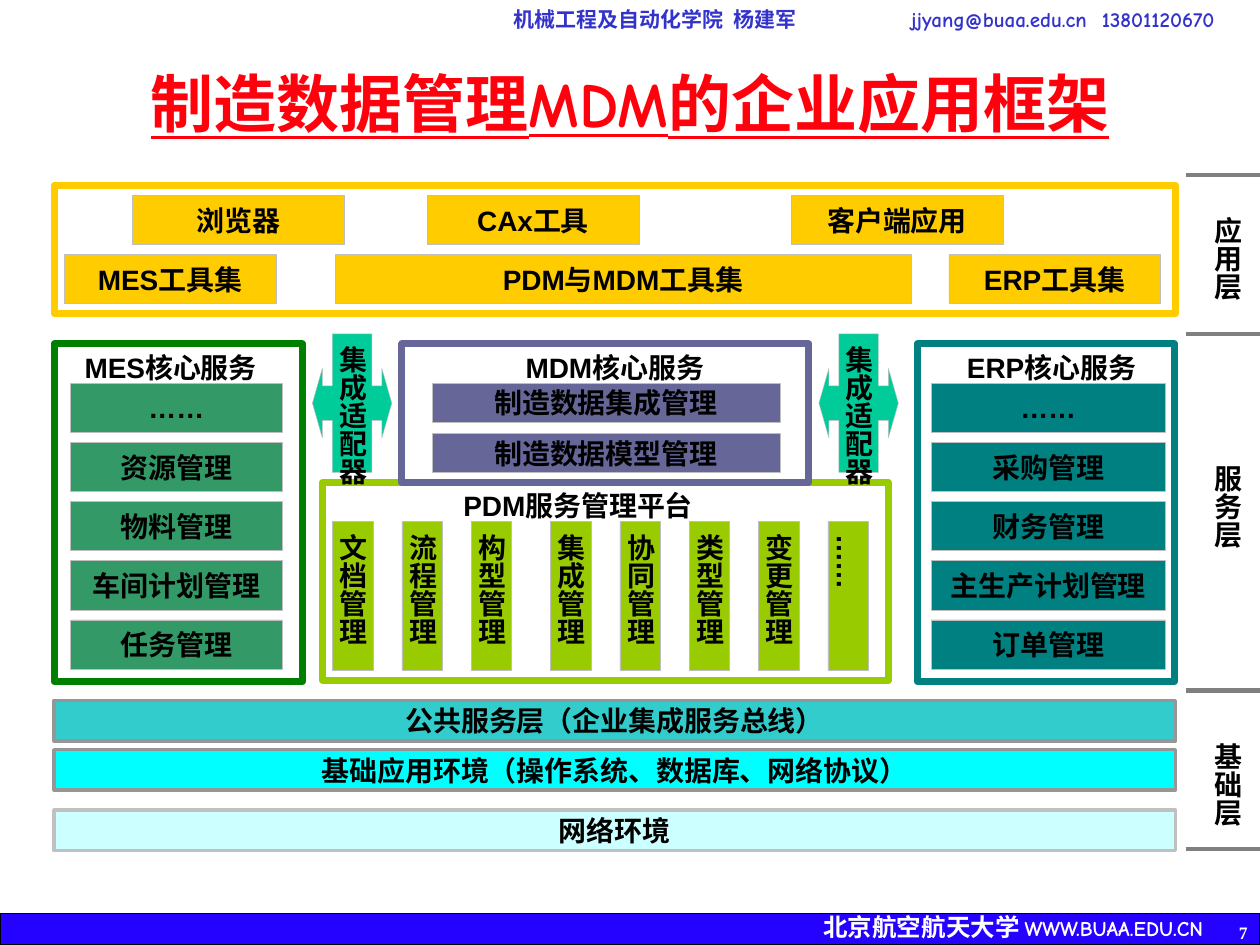
from collections import namedtuple
from dataclasses import dataclass

from lxml import etree
from pptx import Presentation
from pptx.dml.color import RGBColor
from pptx.enum.shapes import MSO_CONNECTOR, MSO_SHAPE
from pptx.enum.text import MSO_ANCHOR, MSO_AUTO_SIZE, PP_ALIGN
from pptx.oxml.ns import qn
from pptx.util import Inches, Pt

RECT, CALLOUT = MSO_SHAPE.RECTANGLE, MSO_SHAPE.LEFT_RIGHT_ARROW_CALLOUT
STRAIGHT = MSO_CONNECTOR.STRAIGHT
LEFT, CENTER, RIGHT = PP_ALIGN.LEFT, PP_ALIGN.CENTER, PP_ALIGN.RIGHT
TOP, MIDDLE = MSO_ANCHOR.TOP, MSO_ANCHOR.MIDDLE
NO_FIT = MSO_AUTO_SIZE.NONE
TITLE_ONLY = 5

Box = namedtuple("Box", "left top width height")


@dataclass(frozen=True)
class Theme:
    cjk: str = "Noto Sans CJK JP"
    latin: str = "Arial"
    comic: str = "Comic Neue"
    serif: str = "Times New Roman"
    black: str = "000000"
    white: str = "FFFFFF"
    title: str = "FF010D"
    header: str = "3333CC"
    footer: str = "2501FF"
    app: str = "FFCC00"
    mes_frame: str = "008000"
    mes: str = "339966"
    erp: str = "008080"
    pdm: str = "99CC00"
    mdm: str = "666699"
    adapter: str = "00CC99"
    bus: str = "33CCCC"
    platform: str = "00FFFF"
    network: str = "CCFFFF"
    thin_line: str = "BFBFBF"
    bar_line: str = "969696"
    network_line: str = "C0C0C0"
    divider: str = "808080"
    title_size: int = 36
    body_size: int = 16
    footer_size: int = 14
    header_size: int = 12
    number_size: int = 10


T = Theme()


def emu(box):
    return [Inches(v) for v in box]


def inside(box, dx, dy, width, height):
    """Box placed by its offset from the corner of another box."""
    return Box(box.left + dx, box.top + dy, width, height)


def write(shape, runs, align=CENTER, anchor=MIDDLE, wrap=True, vertical=False):
    """Fill one paragraph with (text, font, size, colour) runs."""
    tf = shape.text_frame
    settings = {"auto_size": NO_FIT, "word_wrap": wrap, "vertical_anchor": anchor}
    for name, value in settings.items():
        setattr(tf, name, value)
    if vertical:
        tf._txBody.bodyPr.set("vert", "eaVert")
    p = tf.paragraphs[0]
    p.alignment = align
    for text, font, size, color in runs:
        r = p.add_run()
        r.text = text
        for name, value in {"name": font, "size": Pt(size), "bold": True}.items():
            setattr(r.font, name, value)
        r.font.color.rgb = RGBColor.from_string(color)
        ea = etree.SubElement(r._r.get_or_add_rPr(), qn("a:ea"))
        ea.set("typeface", T.cjk)
    return p


def body(text):
    return [(text, T.latin, T.body_size, T.black)]


def add_text(s, box, runs, align=CENTER):
    write(s.shapes.add_textbox(*emu(box)), runs, align, TOP)


def add_block(s, box, text=None, fill=None, line=T.thin_line, weight=0.25,
              kind=RECT, **layout):
    sp = s.shapes.add_shape(kind, *emu(box))
    sp.shadow.inherit = False
    if fill:
        sp.fill.solid()
        sp.fill.fore_color.rgb = RGBColor.from_string(fill)
    else:
        sp.fill.background()
    if line:
        sp.line.color.rgb = RGBColor.from_string(line)
        sp.line.width = Pt(weight)
    else:
        sp.line.fill.background()
    if text:
        write(sp, body(text), **{"wrap": False, **layout})
    return sp


def add_frame(s, box, color):
    add_block(s, box, line=color, weight=4)


def add_header(s, box):
    contacts = [("机械工程及自动化学院  杨建军", T.cjk, 5.2),
                ("jjyang@buaa.edu.cn  13801120670", T.comic, box.width)]
    for text, font, width in contacts:
        add_text(s, inside(box, 0, 0, width, box.height),
                 [(text, font, T.header_size, T.header)], RIGHT)


def add_footer(s, box):
    add_block(s, box, fill=T.footer, line=T.black, weight=0.75)
    add_text(s, inside(box, 9.09, 0.02, 0.91, 0.27),
             [("7", T.serif, T.number_size, T.white)], RIGHT)
    add_text(s, inside(box, 4.45, -0.06, 5.2, 0.25),
             [("北京航空航天大学", T.comic, T.footer_size, T.white),
              (" WWW.BUAA.EDU.CN", T.comic, T.header_size, T.white)], RIGHT)


def add_title(s, box):
    title = s.shapes.title
    title.left, title.top, title.width, title.height = emu(box)
    p = write(title, [("制造数据管理MDM的企业应用框架", T.comic, T.title_size, T.title)])
    p.runs[0].font.underline = True


def add_applications(s, box):
    add_frame(s, box, T.app)
    rows = [(0.08, [("浏览器", 0.62, 1.68), ("CAx工具", 2.96, 1.68),
                    ("客户端应用", 5.85, 1.68)]),
            (0.55, [("MES工具集", 0.08, 1.68), ("PDM与MDM工具集", 2.23, 4.57),
                    ("ERP工具集", 7.1, 1.68)])]
    for dy, tools in rows:
        for text, dx, width in tools:
            add_block(s, inside(box, dx, dy, width, 0.39), text, T.app)


def add_core_service(s, box, heading, heading_box, names, item, pitch, frame, fill):
    """Framed heading over a stack of equal bars; item is the first bar."""
    add_frame(s, box, frame)
    add_text(s, inside(box, *heading_box), body(heading))
    for i, name in enumerate(names):
        add_block(s, inside(box, item.left, item.top + i * pitch,
                            item.width, item.height), name, fill)


def add_pdm(s, box):
    add_frame(s, box, T.pdm)
    add_text(s, inside(box, 1.02, 0, 2.6, 0.37), body("PDM服务管理平台"), LEFT)
    names = ["文档管理", "流程管理", "构型管理", "集成管理",
             "协同管理", "类型管理", "变更管理", "……"]
    for i, name in enumerate(names):
        group_gap = 0.08 if i >= 3 else 0
        add_block(s, inside(box, 0.08 + 0.55 * i + group_gap, 0.31, 0.32, 1.18),
                  name, T.pdm, wrap=True, vertical=True)


def add_adapter(s, box):
    sp = add_block(s, box, "集成适配器", T.adapter, kind=CALLOUT,
                   align=LEFT, vertical=True)
    for i, value in enumerate([0.437, 0.437, 0.125, 0.5]):
        sp.adjustments[i] = value


def add_foundation(s, box):
    bars = [("公共服务层（企业集成服务总线）", 0, T.bus, T.bar_line),
            ("基础应用环境（操作系统、数据库、网络协议）", 0.39, T.platform, T.bar_line),
            ("网络环境", 0.87, T.network, T.network_line)]
    for text, dy, fill, line in bars:
        add_block(s, inside(box, 0, dy, box.width, 0.32), text, fill, line, 2)


def add_layers(s, box):
    for dy in (0, 1.26, 4.09, box.height):
        y = Inches(box.top + dy)
        c = s.shapes.add_connector(STRAIGHT, Inches(box.left), y,
                                   Inches(box.left + box.width), y)
        c.line.color.rgb = RGBColor.from_string(T.divider)
        c.line.width = Pt(2.5)
        etree.SubElement(c._element.spPr, qn("a:effectLst"))
    for name, dy in (("应用层", 0.23), ("服务层", 2.2), ("基础层", 4.41)):
        add_block(s, inside(box, 0.08, dy, 0.51, 0.71), name, T.white, None,
                  align=LEFT, vertical=True)


def main():
    prs = Presentation()
    prs.slide_width, prs.slide_height = Inches(10), Inches(7.5)
    s = prs.slides.add_slide(prs.slide_layouts[TITLE_ONLY])
    add_footer(s, Box(0, 7.25, 10, 0.25))
    add_header(s, Box(1.22, 0, 8.52, 0.3))
    add_title(s, Box(0.5, 0.3, 9, 1.03))
    add_foundation(s, Box(0.43, 5.56, 8.9, 1.19))
    add_core_service(s, Box(0.43, 2.73, 1.97, 2.68), "MES核心服务", (0, 0, 1.85, 0.37),
                     ["……", "资源管理", "物料管理", "车间计划管理", "任务管理"],
                     Box(0.13, 0.31, 1.68, 0.39), 0.47, T.mes_frame, T.mes)
    add_core_service(s, Box(7.28, 2.73, 2.04, 2.68), "ERP核心服务", (0.16, 0, 1.81, 0.37),
                     ["……", "采购管理", "财务管理", "主生产计划管理", "订单管理"],
                     Box(0.11, 0.31, 1.86, 0.39), 0.47, T.erp, T.erp)
    add_pdm(s, Box(2.56, 3.83, 4.49, 1.57))
    add_core_service(s, Box(3.19, 2.73, 3.23, 1.1), "MDM核心服务", (0.39, 0, 2.6, 0.37),
                     ["制造数据集成管理", "制造数据模型管理"],
                     Box(0.24, 0.31, 2.76, 0.31), 0.4, T.mdm, T.mdm)
    for left in (2.48, 6.5):
        add_adapter(s, Box(left, 2.65, 0.63, 1.1))
    add_applications(s, Box(0.43, 1.47, 8.9, 1.02))
    add_layers(s, Box(9.41, 1.39, 0.59, 5.35))
    prs.save("out.pptx")


if __name__ == "__main__":
    main()
